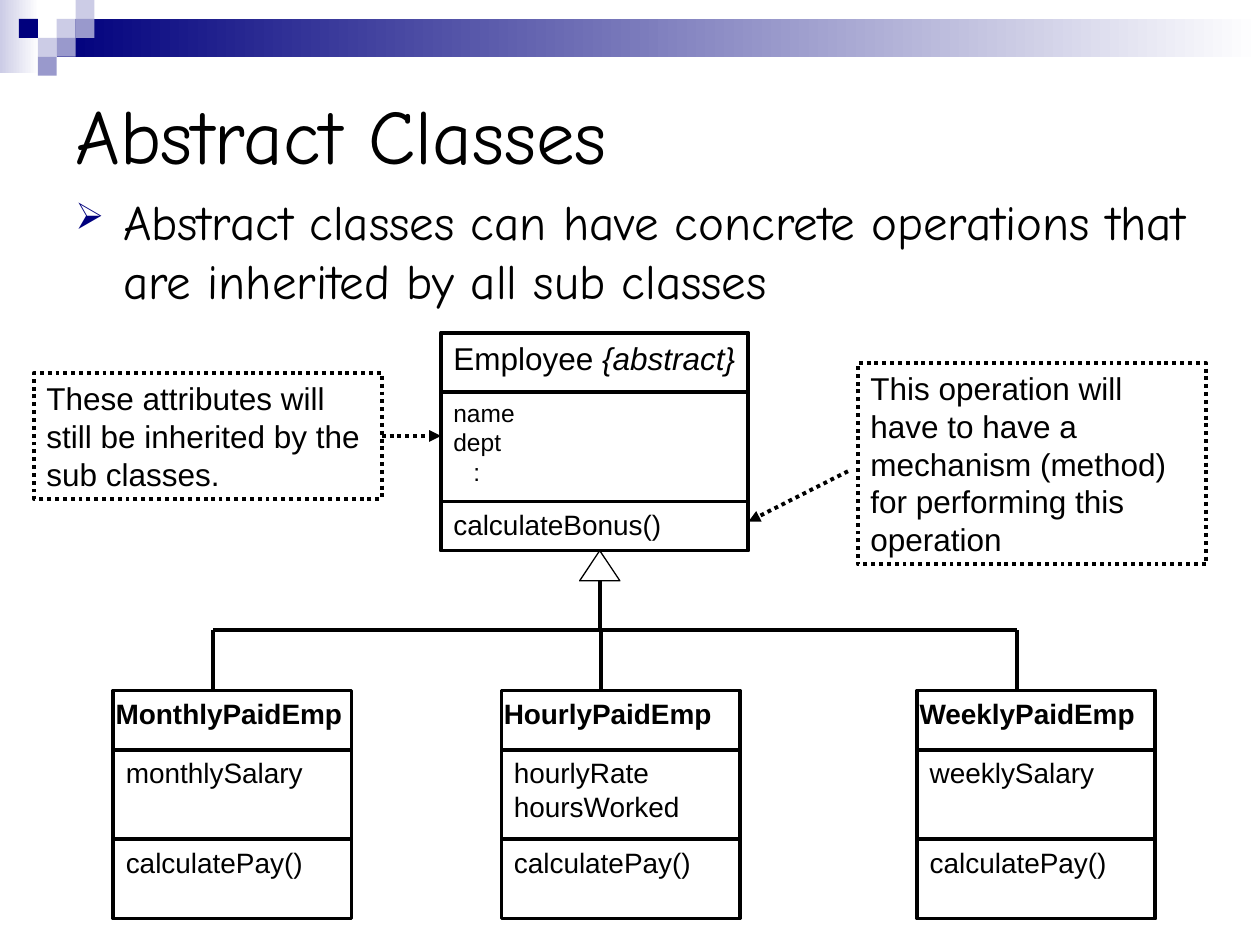
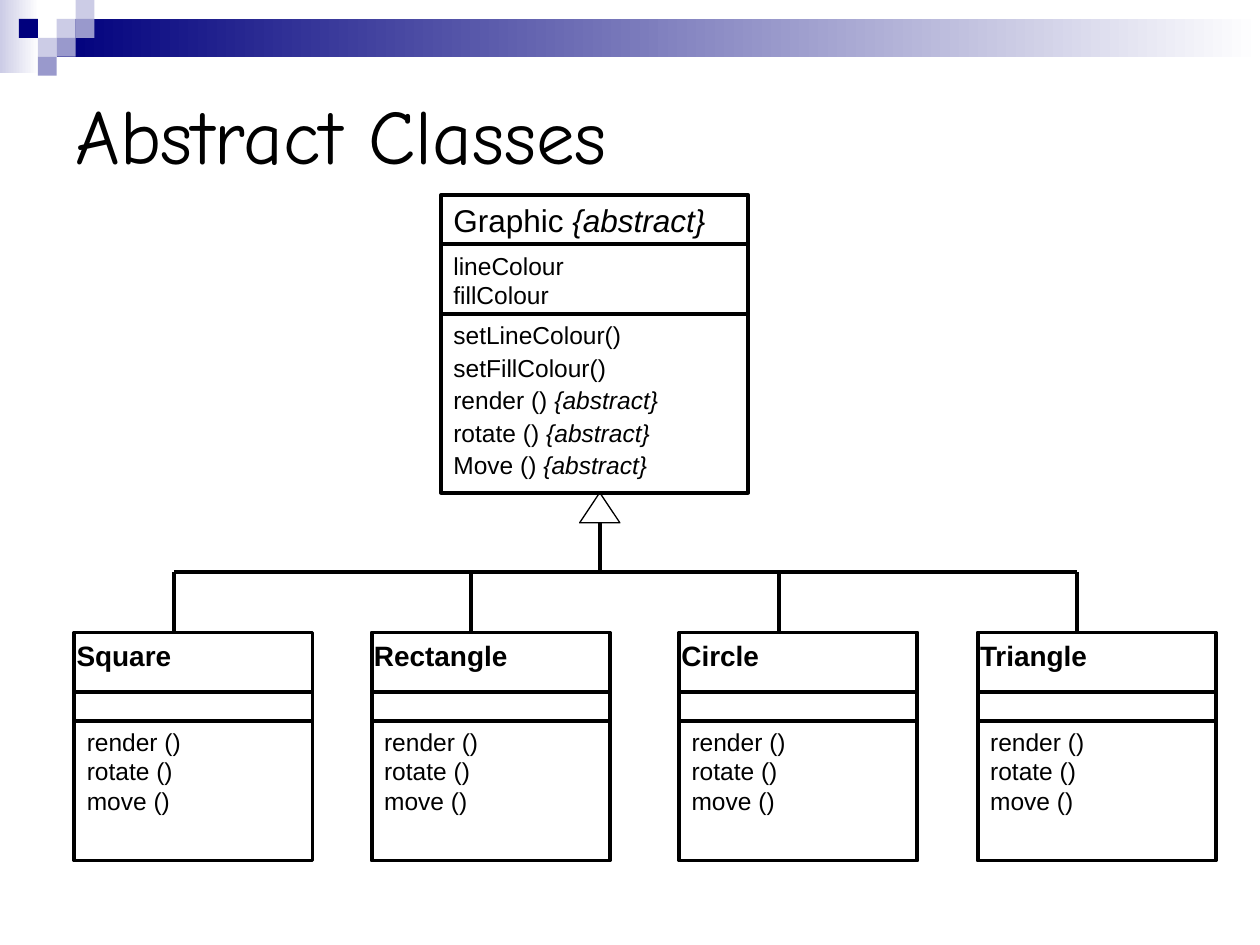
from lxml import etree
from pptx import Presentation
from pptx.dml.color import RGBColor
from pptx.enum.dml import MSO_LINE
from pptx.enum.shapes import MSO_CONNECTOR, MSO_SHAPE
from pptx.enum.text import MSO_ANCHOR
from pptx.oxml.ns import qn
from pptx.util import Inches, Pt

RECT, TRIANGLE = MSO_SHAPE.RECTANGLE, MSO_SHAPE.ISOSCELES_TRIANGLE
STRAIGHT = MSO_CONNECTOR.STRAIGHT
DOTTED = MSO_LINE.ROUND_DOT
TOP, MIDDLE = MSO_ANCHOR.TOP, MSO_ANCHOR.MIDDLE

BLACK = RGBColor(0x00, 0x00, 0x00)
WHITE = RGBColor(0xFF, 0xFF, 0xFF)
NAVY = RGBColor(0x00, 0x00, 0x7D)
LAVENDER = RGBColor(0xCC, 0xCC, 0xE6)
PERIWINKLE = RGBColor(0x99, 0x99, 0xCC)
HEADING_FONT, DIAGRAM_FONT = "Comic Neue", "Arial"

CELL = 0.15  # side of the small corner squares
CORNER_SQUARES = [  # column, row, colour
    (3, 1, LAVENDER), (4, 0, LAVENDER), (4, 1, PERIWINKLE), (2, 2, LAVENDER),
    (1, 1, NAVY), (3, 2, PERIWINKLE), (2, 3, PERIWINKLE),
]
PARENT_X, PARENT_W = 3.5, 2.44
CHILD_W, CHILD_H = 1.89, 1.81
TRUNK_X = 4.76
DROP_OFFSET = 0.79  # from a subclass's left side to its branch


# Basic parts
def add_shape(s, kind, x, y, w, h):
    sp = s.shapes.add_shape(kind, Inches(x), Inches(y), Inches(w), Inches(h))
    sp.shadow.inherit = False
    return sp


def add_block(s, x, y, w, h, colour, fade=False):
    sp = add_shape(s, RECT, x, y, w, h)
    sp.line.fill.background()
    if fade:
        sp.fill.gradient()
        sp.fill.gradient_angle = 0
        for stop, stop_colour in zip(sp.fill.gradient_stops, (colour, WHITE)):
            stop.color.rgb = stop_colour
    else:
        sp.fill.solid()
        sp.fill.fore_color.rgb = colour


def add_outline(s, kind, x, y, w, h, width=2.25):
    sp = add_shape(s, kind, x, y, w, h)
    sp.fill.background()
    sp.line.color.rgb = BLACK
    sp.line.width = Pt(width)
    return sp


def add_line(s, x1, y1, x2, y2):
    line = s.shapes.add_connector(STRAIGHT, Inches(x1), Inches(y1), Inches(x2), Inches(y2))
    line.line.color.rgb = BLACK
    line.line.width = Pt(2.25)
    etree.SubElement(line._element.spPr, qn("a:effectLst"))
    return line


def add_dotted_arrow(s, x1, y1, x2, y2):
    line = add_line(s, x1, y1, x2, y2)
    line.line.dash_style = DOTTED
    etree.SubElement(line.line._get_or_add_ln(), qn("a:tailEnd"), type="triangle")
    return line


def write(tf, lines, size, font=DIAGRAM_FONT, bold=None, gap=0):
    """Write one paragraph per line; anything in braces is italic."""
    tf.word_wrap = True
    for i, text in enumerate(lines):
        p = tf.paragraphs[0] if i == 0 else tf.add_paragraph()
        p.font.size, p.font.name, p.font.bold = Pt(size), font, bold
        p.font.color.rgb = BLACK
        p.space_before = Pt(gap)
        plain, brace, constraint = text.partition("{")
        p.add_run().text = plain
        if brace:
            r = p.add_run()
            r.text = brace + constraint
            r.font.italic = True


def add_text(s, x, y, w, lines, size, h=None, **style):
    h = h or len(lines) * size * 1.15 / 72 + 0.1
    tf = s.shapes.add_textbox(Inches(x), Inches(y), Inches(w), Inches(h)).text_frame
    write(tf, lines, size, **style)
    return tf


# Shared slide frame
def add_frame(prs, title):
    s = prs.slides.add_slide(prs.slide_layouts[6])
    add_block(s, 0, 0, 0.31, 0.58, LAVENDER, fade=True)
    add_block(s, 3 * CELL, CELL, 10 - 3 * CELL, 2 * CELL, NAVY, fade=True)
    for col, row, colour in CORNER_SQUARES:
        add_block(s, col * CELL, row * CELL, CELL, CELL, colour)
    tf = add_text(s, 0.5, 0.5, 9, [title], 44, h=1.12, font=HEADING_FONT)
    tf.vertical_anchor = MIDDLE
    return s


def add_bullet(s, x, y, w, h, text):
    tf = add_text(s, x, y, w, [text], 28, h=h, font=HEADING_FONT, gap=7)
    pPr = tf.paragraphs[0]._p.get_or_add_pPr()
    pPr.set("marL", str(Inches(0.38)))
    pPr.set("indent", str(Inches(-0.38)))
    marks = [etree.Element(qn("a:buClr")),
             etree.Element(qn("a:buSzPct"), val="75000"),
             etree.Element(qn("a:buChar"), char="➢")]
    etree.SubElement(marks[0], qn("a:srgbClr"), val=str(NAVY))
    spacing = pPr.find(qn("a:spcBef"))
    for mark in reversed(marks):
        spacing.addnext(mark)


# Class diagram
def add_compartments(s, x, y, w, h, dividers):
    add_outline(s, RECT, x, y, w, h)
    for d in dividers:
        add_line(s, x, y + d, x + w, y + d)


def add_parent(s, y, h, dividers, name, attributes, operations, operation_size):
    x, w = PARENT_X, PARENT_W
    add_compartments(s, x, y, w, h, dividers)
    add_text(s, x, y, w, [name], 18)
    attribute_tf = add_text(s, x, y + dividers[0], 1.5, attributes, 14)
    add_text(s, x, y + dividers[1], 1.97, operations, operation_size, gap=1.8)
    return attribute_tf


def add_child(s, x, y, dividers, name, attributes, operations, size):
    add_compartments(s, x, y, CHILD_W, CHILD_H, dividers)
    add_text(s, x - 0.08, y, 2.13, [name], 16, bold=True)
    if attributes:
        add_text(s, x, y + dividers[0], 2.05, attributes, size)
    add_text(s, x, y + dividers[1], 2.05, operations, size)


def add_inheritance(s, parent_bottom, child_top, child_lefts):
    bus_y = child_top - 0.48
    drops = [x + DROP_OFFSET for x in child_lefts]
    add_outline(s, TRIANGLE, TRUNK_X - 0.16, parent_bottom, 0.32, 0.24, width=0.75)
    add_line(s, TRUNK_X, parent_bottom + 0.24, TRUNK_X, bus_y)
    add_line(s, drops[0], bus_y, drops[-1], bus_y)
    for x in drops:
        add_line(s, x, bus_y, x, child_top)


def add_note(s, x, y, w, h, text):
    sp = add_outline(s, RECT, x, y, w, h)
    sp.line.dash_style = DOTTED
    tf = sp.text_frame
    tf.vertical_anchor = TOP
    write(tf, [text], 18)
    tf.paragraphs[0]._p.get_or_add_pPr().set("algn", "l")
    return sp


# Slides
def build_employee_slide(prs):
    s = add_frame(prs, "Abstract Classes")
    add_bullet(s, 0.5, 1.47, 9.3, 1.34,
               "Abstract classes can have concrete operations that "
               "are inherited by all sub classes")
    tf = add_parent(s, 2.64, 1.73, (0.47, 1.34), "Employee {abstract}",
                    ["name", "dept", ":"], ["calculateBonus()"], 16)
    tf.paragraphs[2]._p.get_or_add_pPr().set("marL", str(Inches(0.16)))

    children = [
        (0.9, "MonthlyPaidEmp", ["monthlySalary"]),
        (3.98, "HourlyPaidEmp", ["hourlyRate", "hoursWorked"]),
        (7.28, "WeeklyPaidEmp", ["weeklySalary"]),
    ]
    add_inheritance(s, 4.37, 5.48, [x for x, _, _ in children])
    for x, name, attributes in children:
        add_child(s, x, 5.48, (0.47, 1.18), name, attributes, ["calculatePay()"], 16)

    attribute_note = add_note(s, 0.27, 2.96, 2.76, 1,
                              "These attributes will still be inherited by the sub classes.")
    add_dotted_arrow(s, 3.03, 3.46, PARENT_X, 3.46).begin_connect(attribute_note, 3)
    add_note(s, 6.81, 2.88, 2.76, 1.6,
             "This operation will have to have a mechanism (method) "
             "for performing this operation")
    add_dotted_arrow(s, 6.73, 3.74, PARENT_X + PARENT_W, 4.14)


def build_graphic_slide(prs):
    s = add_frame(prs, "Abstract Classes")
    add_parent(s, 1.55, 2.36, (0.39, 0.94), "Graphic {abstract}",
               ["lineColour", "fillColour"],
               ["setLineColour()", "setFillColour()", "render () {abstract}",
                "rotate () {abstract}", "Move () {abstract}"], 14)
    children = {0.59: "Square", 2.95: "Rectangle", 5.39: "Circle", 7.76: "Triangle"}
    add_inheritance(s, 3.91, 5.02, list(children))
    for x, name in children.items():
        add_child(s, x, 5.02, (0.47, 0.7), name, [],
                  ["render ()", "rotate ()", "move ()"], 14)


def main():
    prs = Presentation()
    prs.slide_width, prs.slide_height = Inches(10), Inches(7.5)
    build_employee_slide(prs)
    build_graphic_slide(prs)
    prs.save("out.pptx")


if __name__ == "__main__":
    main()
